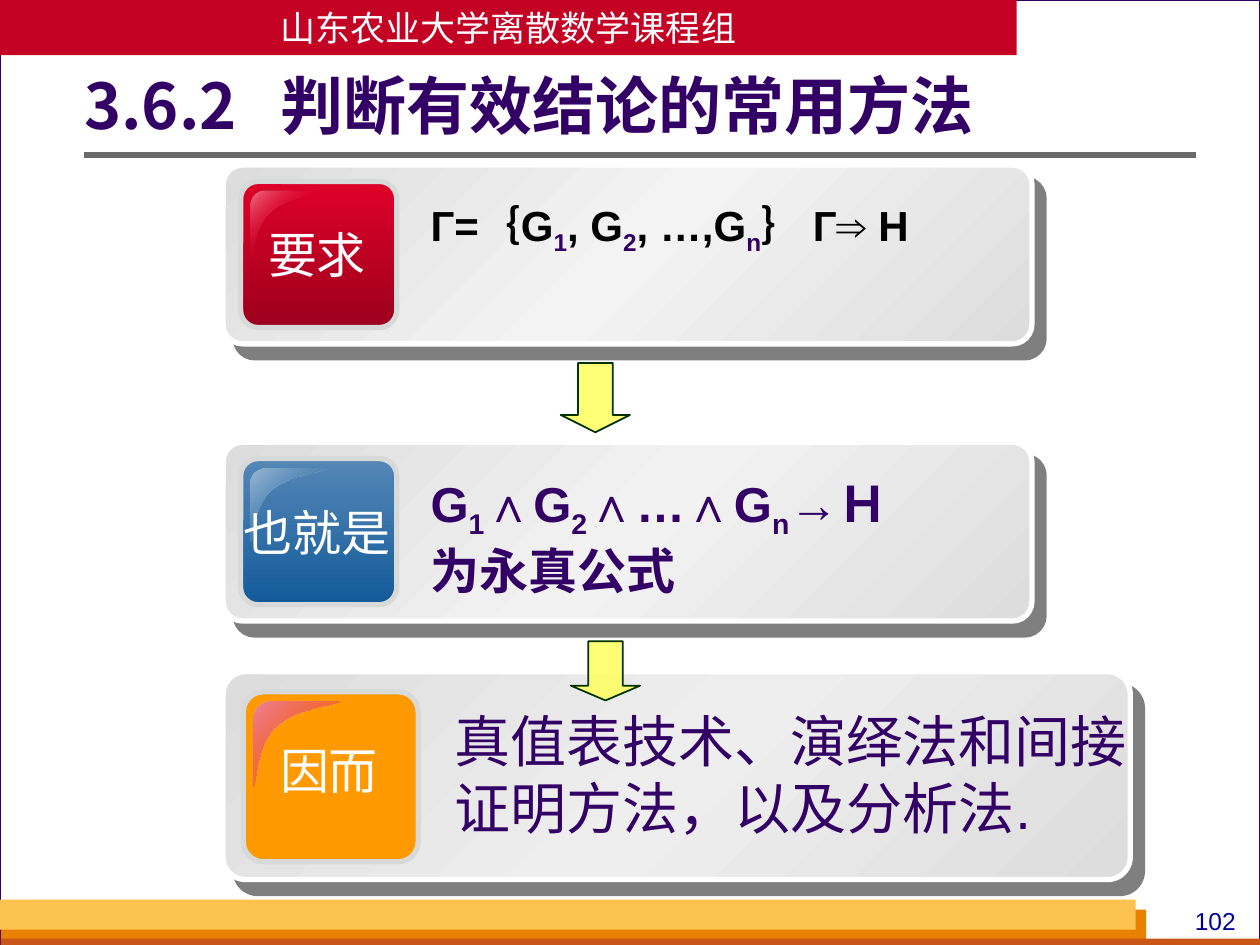
"""Build the slide on common ways of judging valid conclusions."""
from dataclasses import dataclass

from lxml.etree import SubElement
from pptx import Presentation
from pptx.dml.color import RGBColor
from pptx.enum.shapes import MSO_CONNECTOR, MSO_SHAPE
from pptx.enum.text import MSO_ANCHOR, PP_ALIGN
from pptx.oxml.ns import qn
from pptx.util import Pt


@dataclass(frozen=True)
class Theme:
    latin: str = "Arial"
    asian: str = "Noto Sans CJK SC"
    white: str = "FFFFFF"
    black: str = "000000"
    purple: str = "330066"
    backdrop: str = "D8DADA"
    banner: str = "C30224"
    rule: str = "6B6B6B"
    number: str = "000099"
    footer_dark: str = "C95616"
    footer_middle: str = "E88000"
    footer_light: str = "FCC24F"
    card_edge: str = "DDDDDD"
    arrow: str = "FFFF66"
    arrow_line: str = "003300"
    small: int = 14
    banner_size: int = 20
    formula: int = 24
    label: int = 28
    body: int = 32
    title: int = 36


def bezier(start, first, second, end, steps=10):
    return [tuple((1 - t) ** 3 * a + 3 * t * (1 - t) ** 2 * b
                  + 3 * t ** 2 * (1 - t) * c + t ** 3 * d
                  for a, b, c, d in zip(start, first, second, end))
            for t in (step / steps for step in range(1, steps + 1))]


GLOSS_OUTLINE = (
    bezier((0.19, 0), (0.08, 0), (0, 0.09), (0, 0.2))
    + [(0, 1)]
    + bezier((0, 1), (0.05, 1), (0.02, 0.52), (0.27, 0.29))
    + bezier((0.27, 0.29), (0.52, 0.07), (1, 0.05), (0.98, 0))
)


class SlideBuilder:
    """Hold the theme and the current slide, and draw each kind of element."""

    def __init__(self, slide, theme):
        self.slide = slide
        self.theme = theme
        self.shapes = slide.shapes

    def paint(self, shape, stops, angle=0):
        if isinstance(stops, str):
            shape.fill.solid()
            shape.fill.fore_color.rgb = RGBColor.from_string(stops)
            return
        shape.fill.gradient()
        shape.fill.gradient_angle = 360 - angle
        stop_list = shape._element.spPr.find(".//" + qn("a:gsLst"))
        for child in list(stop_list):
            stop_list.remove(child)
        for position, color, opacity in stops:
            stop = SubElement(stop_list, qn("a:gs"), pos=str(position * 1000))
            value = SubElement(stop, qn("a:srgbClr"), val=color)
            if opacity < 100:
                SubElement(value, qn("a:alpha"), val=str(opacity * 1000))

    def outline(self, shape, color, width):
        shape.line.color.rgb = RGBColor.from_string(color)
        shape.line.width = Pt(width)

    def box(self, kind, bounds, stops, angle=0, line=None, adjustments=()):
        shape = self.shapes.add_shape(kind, *map(Pt, bounds))
        shape.shadow.inherit = False
        for index, value in enumerate(adjustments):
            shape.adjustments[index] = value
        self.paint(shape, stops, angle)
        if line:
            self.outline(shape, *line)
        else:
            shape.line.fill.background()
        return shape

    def drop_shadow(self, shape):
        effects = shape._element.spPr.find(qn("a:effectLst"))
        shadow = SubElement(effects, qn("a:outerShdw"), blurRad="0",
                            dist=str(Pt(10.6)), dir=str(49 * 60000),
                            algn="ctr", rotWithShape="0")
        color = SubElement(shadow, qn("a:srgbClr"), val=self.theme.black)
        SubElement(color, qn("a:alpha"), val="50000")

    def rule(self, left, right, y):
        connector = self.shapes.add_connector(
            MSO_CONNECTOR.STRAIGHT, Pt(left), Pt(y), Pt(right), Pt(y))
        self.outline(connector, self.theme.rule, 3)
        SubElement(connector._element.spPr, qn("a:effectLst"))

    def format_run(self, run, size, color, bold=False, font=None):
        run.font.size = Pt(size)
        run.font.bold = bold
        run.font.color.rgb = RGBColor.from_string(color)
        run.font.name = font or self.theme.latin
        SubElement(run._r.get_or_add_rPr(), qn("a:ea"), typeface=self.theme.asian)

    def text(self, bounds, content, size, color, bold=False, align=PP_ALIGN.LEFT,
             font=None, wrap=True):
        shape = self.shapes.add_textbox(*map(Pt, bounds))
        frame = shape.text_frame
        frame.word_wrap = wrap
        frame.text = content
        frame.paragraphs[0].alignment = align
        for run in frame.paragraphs[0].runs:
            self.format_run(run, size, color, bold, font)
        return shape

    def formula(self, bounds, lines, size, color):
        frame = self.shapes.add_textbox(*map(Pt, bounds)).text_frame
        frame.word_wrap = True
        for number, pieces in enumerate(lines):
            paragraph = frame.add_paragraph() if number else frame.paragraphs[0]
            for index, piece in enumerate(pieces):
                run = paragraph.add_run()
                run.text = piece
                subscript = index % 2 == 1
                self.format_run(run, size, self.theme.purple if subscript else color, True)
                if subscript:
                    run._r.get_or_add_rPr().set("baseline", "-25000")

    def gloss(self, left, top, width, height, stops):
        points = [(Pt(left + x * width), Pt(top + y * height)) for x, y in GLOSS_OUTLINE]
        builder = self.shapes.build_freeform(*points[-1])
        builder.add_line_segments(points[:-1], close=True)
        shape = builder.convert_to_shape()
        shape.shadow.inherit = False
        shape.line.fill.background()
        self.paint(shape, stops, 45)

    def card(self, bounds, middle, tile, tile_stops, gloss_stops, label, label_rise, write):
        self.shapes = self.slide.shapes.add_group_shape().shapes
        edge = self.theme.card_edge
        panel = self.box(MSO_SHAPE.ROUNDED_RECTANGLE, bounds,
                         [(0, edge, 100), (50, middle, 100), (100, edge, 100)], 45,
                         (self.theme.white, 3), [0.109])
        self.drop_shadow(panel)
        left, top, width, height = tile
        self.box(MSO_SHAPE.ROUNDED_RECTANGLE, tile, tile_stops, 90,
                 (self.theme.backdrop, 3), [0.119])
        self.gloss(left + 5.8, top + 5.5, width / 2, height / 2, gloss_stops)
        label_width = len(label) * self.theme.label + 18
        self.text((left + (width - label_width) / 2 - 1,
                   top + height / 2 - 20.5 - label_rise, label_width, 41),
                  label, self.theme.label, self.theme.white,
                  align=PP_ALIGN.CENTER, wrap=False)
        write()
        self.shapes = self.slide.shapes

    def arrow(self, left, top, width, height):
        shape = self.box(MSO_SHAPE.DOWN_ARROW, (left, top, width, height), self.theme.arrow,
                         line=(self.theme.arrow_line, 1), adjustments=[0.5, 0.25])
        color = shape._element.spPr.find(qn("a:solidFill"))[0]
        SubElement(color, qn("a:alpha"), val="90000")

    def frame(self):
        theme = self.theme
        self.slide.background.fill.solid()
        self.slide.background.fill.fore_color.rgb = RGBColor.from_string(theme.backdrop)
        self.box(MSO_SHAPE.RECTANGLE, (0, 0, 720, 540), theme.white, line=(theme.purple, 0.75))
        for bounds, color in (((0.5, 519.8, 654.5, 20.2), theme.footer_middle),
                              ((0.5, 536.4, 719.5, 3.6), theme.footer_dark),
                              ((0, 514, 649, 17.2), theme.footer_light)):
            self.box(MSO_SHAPE.RECTANGLE, bounds, color)
        self.text((671.8, 514, 45.4, 24.5), "102", theme.small, theme.number,
                  align=PP_ALIGN.CENTER)
        self.rule(48.2, 683.3, 88.6)
        banner = self.box(MSO_SHAPE.RECTANGLE, (0, 0, 581, 31.5), theme.banner)
        banner.text_frame.text = "山东农业大学离散数学课程组"
        banner.text_frame.word_wrap = False
        banner.text_frame.vertical_anchor = MSO_ANCHOR.MIDDLE
        paragraph = banner.text_frame.paragraphs[0]
        paragraph.alignment = PP_ALIGN.CENTER
        self.format_run(paragraph.runs[0], theme.banner_size, theme.white, font=theme.asian)

    def title(self, content):
        shape = self.text((48.2, 25.9, 635, 72.7), content, self.theme.title,
                          self.theme.purple, True, font=self.theme.asian)
        shape.text_frame.margin_left = 0
        shape.text_frame.vertical_anchor = MSO_ANCHOR.MIDDLE
        paragraph = shape.text_frame.paragraphs[0]
        paragraph.line_spacing = 0.9
        tabs = SubElement(paragraph._p.get_or_add_pPr(), qn("a:tabLst"))
        SubElement(tabs, qn("a:tab"), pos=str(Pt(112)), algn="l")


def main():
    presentation = Presentation()
    presentation.slide_width, presentation.slide_height = Pt(720), Pt(540)
    theme = Theme()
    builder = SlideBuilder(presentation.slides.add_slide(presentation.slide_layouts[6]), theme)
    builder.frame()
    builder.title("3.6.2\t判断有效结论的常用方法")
    builder.card((127.5, 94.3, 462.2, 102.2), "F3F3F3", (137.5, 103.7, 89.2, 83.5),
                 [(0, "DF0029", 100), (100, "9C001D", 100)],
                 [(0, "EE748A", 100), (50, "DF0029", 0), (100, "EE748A", 100)], "要求", 0,
                 lambda: builder.formula((239, 110.2, 340, 40.3),
                                         [["Г=｛G", "1", ", G", "2", ", …,G", "n", "｝ Г⇒ H"]],
                                         theme.formula, theme.black))
    builder.card((127.5, 252.7, 462.2, 102.2), "F2F2F2", (137.5, 262.1, 89.2, 83.5),
                 [(0, "5487B6", 100), (100, "135A9A", 100)],
                 [(0, "9BB9D4", 100), (100, "135A9A", 0)], "也就是", 0,
                 lambda: builder.formula((239, 267.1, 340, 79.2),
                                         [["G", "1", "∧G", "2", "∧…∧G", "n", "→Ｈ"],
                                          ["为永真公式"]], theme.label, theme.purple))
    builder.card((127.5, 383.8, 518.4, 118.8), "EEEEEE", (139, 395.3, 100, 97.2), "FF9900",
                 [(0, "EF8397", 100), (100, "DF0029", 0)], "因而", 3.5,
                 lambda: builder.text((252.7, 400.3, 425.5, 84.2),
                                      "真值表技术、演绎法和间接证明方法，以及分析法.",
                                      theme.body, theme.purple))
    for bounds in ((320.4, 207.4, 39.6, 39.6), (326.2, 366.5, 39.6, 33.8)):
        builder.arrow(*bounds)
    presentation.save("out.pptx")


if __name__ == "__main__":
    main()
